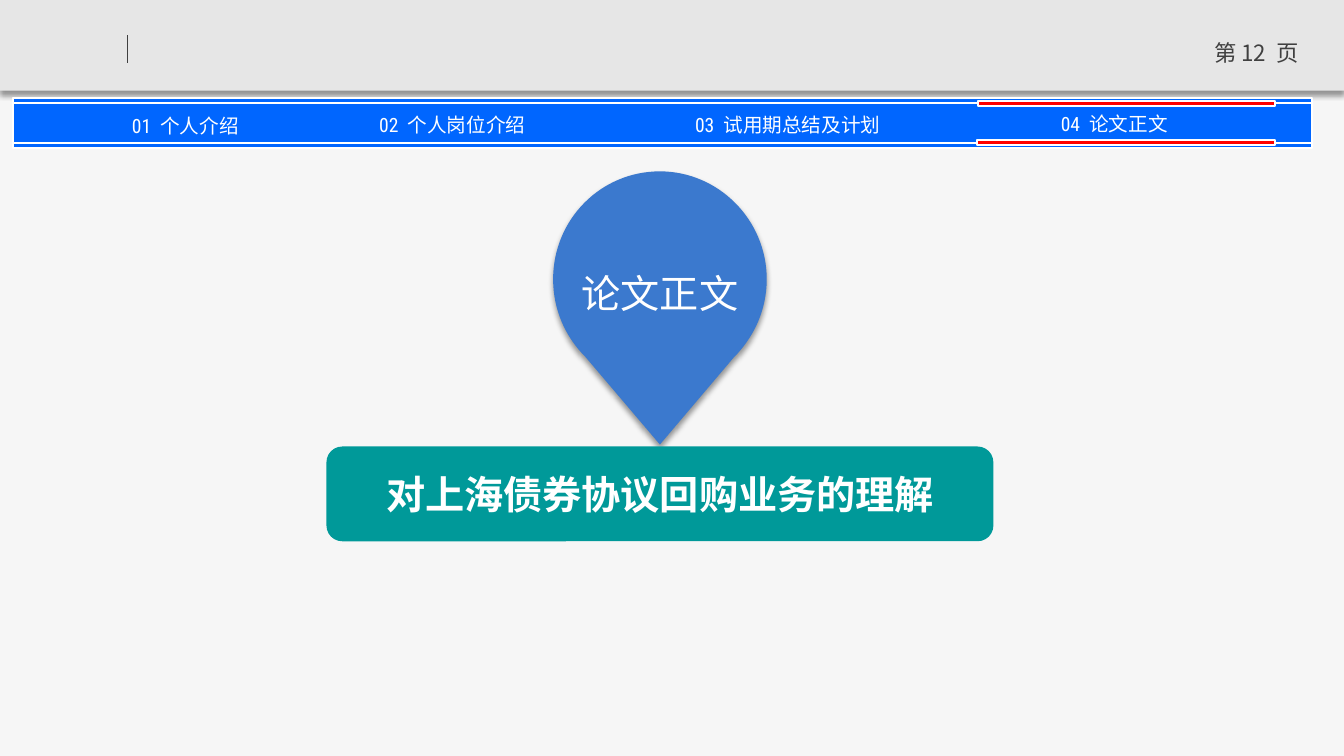
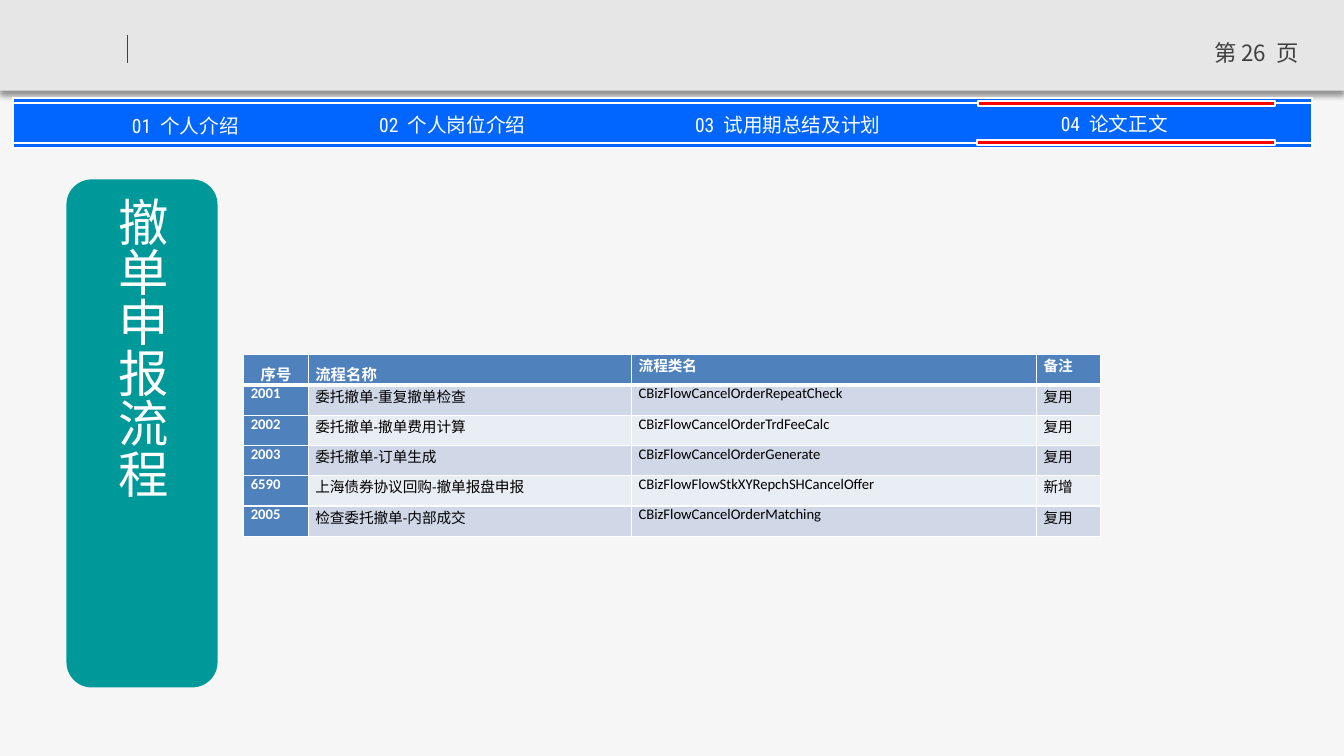
from dataclasses import dataclass

from lxml import etree
from pptx import Presentation
from pptx import util as u
from pptx.dml.color import RGBColor
from pptx.enum import shapes, text
from pptx.oxml import ns

# ---- Content (lengths in px, 100 px to the inch) ----
SLIDE_SIZE = (1334, 750)
PAGES = {"pin": 12, "table": 26}
NAV_ITEMS = [  # left, top, runs
    (60, 113, ["01  个人介绍"]),
    (325, 112, ["02  个人岗位介绍"]),
    (982, 111, ["04  论文正文"]),
    (658, 112, ["03  ", "试用期总结及计划"]),
]
NAV_STRIPS = [(102, 44), (142, 5), (97, 5)]  # top, height
ACTIVE_MARKS = [(971, 100, 295), (970, 139, 296)]  # left, top, width
PIN_START = (655, 170)
PIN_SEGMENTS = [  # control points, if curved, then the end point
    [(713, 170), (761, 218), (761, 277)],
    [(761, 308), (748, 335), (728, 355)],
    [(655, 441)],
    [(581, 354)],
    [(561, 334), (549, 307), (549, 277)],
    [(549, 218), (596, 170), (655, 170)],
]
PIN_TEXT = "论文正文"
TOPIC = "对上海债券协议回购业务的理解"
FLOW_TITLE = "撤单申报流程"
HEADERS = ["序号", "流程名称", "流程类名", "备注"]
FLOWS = [
    ("2001", "委托撤单-重复撤单检查", "CBizFlowCancelOrderRepeatCheck", "复用"),
    ("2002", "委托撤单-撤单费用计算", "CBizFlowCancelOrderTrdFeeCalc", "复用"),
    ("2003", "委托撤单-订单生成", "CBizFlowCancelOrderGenerate", "复用"),
    ("6590", "上海债券协议回购-撤单报盘申报", "CBizFlowFlowStkXYRepchSHCancelOffer", "新增"),
    ("2005", "检查委托撤单-内部成交", "CBizFlowCancelOrderMatching", "复用"),
]
COLUMN_WIDTHS = [64, 321, 402, 63]
ROW_HEIGHT = 30


@dataclass(frozen=True)
class Theme:
    page: str = "F6F6F6"
    header: str = "E6E6E6"
    dark: str = "404040"
    nav: str = "0066FF"
    active: str = "FF0000"
    pin: str = "3B79CE"
    teal: str = "009999"
    white: str = "FFFFFF"
    black: str = "000000"
    table_head: str = "4F81BD"
    bands: tuple = ("D0D8E8", "E9EDF4")
    body_font: str = "Calibri"
    nav_font: str = "Roboto Condensed"
    cjk_font: str = "Noto Sans CJK SC"
    note_font: str = "Times New Roman"
    flow_size: float = 36
    title_size: float = 28
    page_size: float = 16
    nav_size: float = 14
    head_size: float = 11
    cell_size: float = 10.5


THEME = Theme()
ALIGN = text.PP_ALIGN
ANCHOR = text.MSO_ANCHOR
SHAPE = shapes.MSO_SHAPE


# ---- Helpers ----
def px(value):
    return u.Emu(round(value * 9144))


def color(code):
    return RGBColor.from_string(code)


def write(frame, runs, size, ink, font=THEME.body_font, bold=False, align=ALIGN.CENTER):
    paragraph = frame.paragraphs[0]
    paragraph.alignment = align
    for words in runs:
        run = paragraph.add_run()
        run.text = words
        run.font.size = u.Pt(size)
        run.font.bold = bold
        run.font.name = font
        run.font.color.rgb = color(ink)
        east_asian = etree.Element(ns.qn("a:ea"), typeface=THEME.cjk_font)
        run.font._element.find(ns.qn("a:latin")).addnext(east_asian)


def set_insets(frame, left, top, right, bottom):
    frame.margin_left, frame.margin_top = px(left), px(top)
    frame.margin_right, frame.margin_bottom = px(right), px(bottom)


def paint(shape, fill, outline=None):
    shape.shadow.inherit = False
    shape.fill.solid()
    shape.fill.fore_color.rgb = color(fill)
    if outline:
        shape.line.color.rgb = color(outline)
        shape.line.width = u.Pt(1.5)
    else:
        shape.line.fill.background()
    return shape


def add_box(slide, box, fill, outline=None, kind=SHAPE.RECTANGLE):
    return paint(slide.shapes.add_shape(kind, *map(px, box)), fill, outline)


def add_label(slide, box):
    frame = slide.shapes.add_textbox(*map(px, box)).text_frame
    frame.word_wrap = True
    return frame


def drop_shadow(shape):
    effects = shape._element.spPr.find(ns.qn("a:effectLst"))
    shadow = etree.SubElement(
        effects, ns.qn("a:outerShdw"), blurRad=str(u.Pt(4)), dist=str(u.Pt(3)),
        dir="5400000", algn="t", rotWithShape="0")
    ink = etree.SubElement(shadow, ns.qn("a:srgbClr"), val=THEME.black)
    etree.SubElement(ink, ns.qn("a:alpha"), val="40000")


def set_borders(cell, bottom_width):
    properties = cell._tc.get_or_add_tcPr()
    widths = {"a:lnL": 1, "a:lnR": 1, "a:lnT": 1, "a:lnB": bottom_width}
    for index, (side, width) in enumerate(widths.items()):
        line = etree.Element(ns.qn(side), w=str(u.Pt(width)))
        fill = etree.SubElement(line, ns.qn("a:solidFill"))
        etree.SubElement(fill, ns.qn("a:srgbClr"), val=THEME.white)
        properties.insert(index, line)


# ---- Shared layout: background, header band, navigation ----
def draw_frame(slide):
    drop_shadow(add_box(slide, (0, 0, SLIDE_SIZE[0], 90), THEME.header))
    tick = slide.shapes.add_connector(
        shapes.MSO_CONNECTOR.STRAIGHT, px(127), px(35), px(127), px(63))
    tick.line.color.rgb = color(THEME.dark)
    tick.line.width = u.Pt(0.75)
    etree.SubElement(tick._element.spPr, ns.qn("a:effectLst"))

    for top, height in NAV_STRIPS:
        add_box(slide, (13, top, 1289, height), THEME.nav, THEME.white)
    for left, top, words in NAV_ITEMS:
        frame = add_label(slide, (left, top, 248, 24))
        set_insets(frame, 0, 0, 0, 0)
        frame.vertical_anchor = ANCHOR.MIDDLE
        frame.auto_size = text.MSO_AUTO_SIZE.SHAPE_TO_FIT_TEXT
        write(frame, words, THEME.nav_size, THEME.white, THEME.nav_font)


def prepare_layout(layout, slide):
    """Draw the frame on the slide, then move it to the layout."""
    layout.background.fill.solid()
    layout.background.fill.fore_color.rgb = color(THEME.page)
    for placeholder in list(layout.placeholders):
        layout.shapes._spTree.remove(placeholder._element)
    draw_frame(slide)
    for shape in list(slide.shapes):
        layout.shapes._spTree.append(shape._element)


def add_page_parts(slide, number):
    write(add_label(slide, (1187, 34, 120, 40)), [f"第 {number}  页"],
          THEME.page_size, THEME.dark, THEME.cjk_font)
    for left, top, width in ACTIVE_MARKS:
        add_box(slide, (left, top, width, 5), THEME.active, THEME.white)


# ---- Slide with the pin ----
def add_pin(slide):
    builder = slide.shapes.build_freeform(*map(px, PIN_START), scale=1.0)
    builder.add_line_segments(
        [tuple(map(px, segment[-1])) for segment in PIN_SEGMENTS], close=True)
    pin = paint(builder.convert_to_shape(), THEME.pin)
    drop_shadow(pin)

    # Bend the segments that have control points
    lines = list(pin._element.iter(ns.qn("a:lnTo")))
    for line, segment in zip(lines, PIN_SEGMENTS):
        if len(segment) == 3:
            curve = etree.Element(ns.qn("a:cubicBezTo"))
            for x, y in segment:
                etree.SubElement(curve, ns.qn("a:pt"),
                                 x=str(px(x) - pin.left), y=str(px(y) - pin.top))
            line.getparent().replace(line, curve)

    frame = pin.text_frame
    set_insets(frame, 10, 5, 10, 35)
    frame.vertical_anchor = ANCHOR.MIDDLE
    write(frame, [PIN_TEXT], THEME.title_size, THEME.white)


def build_pin_slide(slide):
    add_page_parts(slide, PAGES["pin"])
    add_pin(slide)
    topic = add_box(slide, (324, 443, 662, 94), THEME.teal, kind=SHAPE.ROUNDED_RECTANGLE)
    topic.text_frame.vertical_anchor = ANCHOR.MIDDLE
    write(topic.text_frame, [TOPIC], THEME.title_size, THEME.white, bold=True)


# ---- Slide with the flow table ----
def add_flow_table(slide):
    rows = [HEADERS, *FLOWS]
    table = slide.shapes.add_table(
        len(rows), len(HEADERS), px(242), px(352),
        px(sum(COLUMN_WIDTHS)), px(ROW_HEIGHT * len(rows))).table
    table.horz_banding = False
    for column, width in zip(table.columns, COLUMN_WIDTHS):
        column.width = px(width)
    for row_index, values in enumerate(rows):
        table.rows[row_index].height = px(ROW_HEIGHT)
        is_header = row_index == 0
        for column_index, value in enumerate(values):
            cell = table.cell(row_index, column_index)
            is_head = is_header or column_index == 0
            is_low = is_header and column_index < 2
            is_note = column_index == 3 and not is_header
            set_insets(cell, 7, 0, 7, 0)
            cell.vertical_anchor = ANCHOR.BOTTOM if is_low else ANCHOR.TOP
            cell.fill.solid()
            cell.fill.fore_color.rgb = color(
                THEME.table_head if is_head else THEME.bands[(row_index - 1) % 2])
            set_borders(cell, 3 if is_header else 1)
            if is_low:
                align = ALIGN.LEFT if column_index else ALIGN.CENTER
            else:
                align = ALIGN.JUSTIFY
            write(cell.text_frame, [value],
                  THEME.head_size if is_low else THEME.cell_size,
                  THEME.white if is_head else THEME.black,
                  THEME.note_font if is_note else THEME.body_font,
                  is_head, align)


def build_table_slide(slide):
    add_page_parts(slide, PAGES["table"])
    banner = add_box(slide, (66, 178, 150, 504), THEME.teal, kind=SHAPE.ROUNDED_RECTANGLE)
    frame = banner.text_frame
    frame.vertical_anchor = ANCHOR.MIDDLE
    frame._txBody.bodyPr.set("vert", "eaVert")
    write(frame, [FLOW_TITLE], THEME.flow_size, THEME.white, align=ALIGN.LEFT)
    add_flow_table(slide)


def main():
    presentation = Presentation()
    presentation.slide_width, presentation.slide_height = map(px, SLIDE_SIZE)
    layout = presentation.slide_layouts[6]
    pin_slide, table_slide = [presentation.slides.add_slide(layout) for _ in PAGES]
    prepare_layout(layout, pin_slide)
    build_pin_slide(pin_slide)
    build_table_slide(table_slide)
    presentation.save("out.pptx")


if __name__ == "__main__":
    main()
